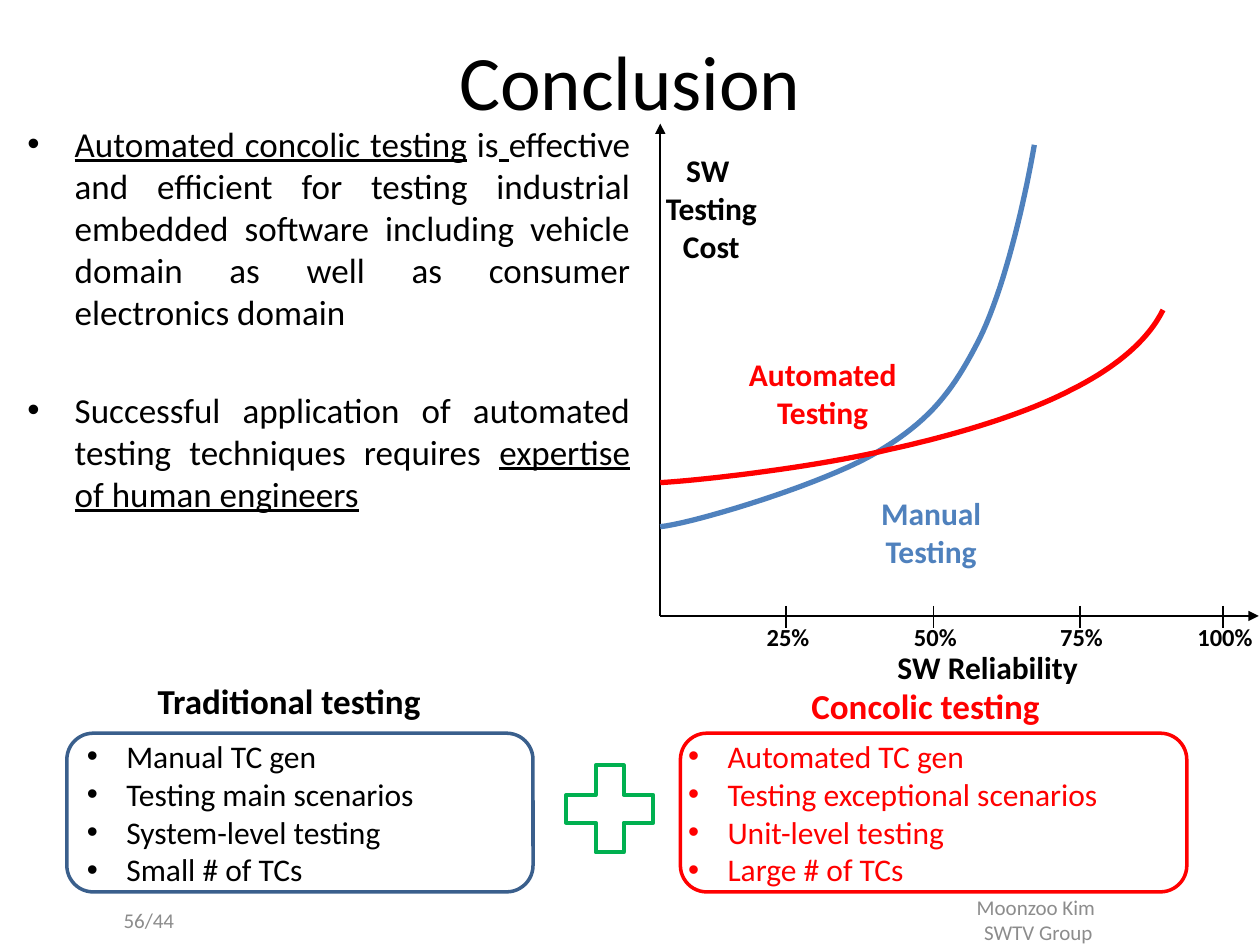
from lxml import etree
from pptx import Presentation
from pptx.dml.color import RGBColor
from pptx.enum.shapes import MSO_CONNECTOR, MSO_SHAPE
from pptx.enum.text import MSO_ANCHOR, PP_ALIGN
from pptx.oxml.ns import qn
from pptx.util import Pt

LEFT, CENTER, RIGHT, JUSTIFY = PP_ALIGN.LEFT, PP_ALIGN.CENTER, PP_ALIGN.RIGHT, PP_ALIGN.JUSTIFY
TOP, MIDDLE = MSO_ANCHOR.TOP, MSO_ANCHOR.MIDDLE
ROUNDED, PLUS = MSO_SHAPE.ROUNDED_RECTANGLE, MSO_SHAPE.MATH_PLUS
STRAIGHT = MSO_CONNECTOR.STRAIGHT
BLACK, RED, BLUE, GRAY = "000000", "FF0000", "4F81BD", "8C8C8C"
NAVY, GREEN = "3A5F8C", "00B050"


def write(shape, paragraphs, size, color=BLACK, bold=False, align=LEFT,
          anchor=TOP, wrap=True, indent=0, gap=0):
    """Each paragraph is a list of (text, underlined) runs; an indent adds bullets."""
    frame = shape.text_frame
    frame.word_wrap = wrap
    frame.vertical_anchor = anchor
    for index, runs in enumerate(paragraphs):
        para = frame.add_paragraph() if index else frame.paragraphs[0]
        para.alignment = align
        if indent:
            properties = para._p.get_or_add_pPr()
            properties.set("marL", str(Pt(indent)))
            properties.set("indent", str(-Pt(indent)))
            etree.SubElement(properties, qn("a:buFont")).set("typeface", "Arial")
            etree.SubElement(properties, qn("a:buChar")).set("char", "•")
        if index and gap:
            para.space_before = Pt(gap)
        for text, underlined in runs:
            span = para.add_run()
            span.text = text
            span.font.name = "Calibri"
            span.font.size = Pt(size)
            span.font.bold = bold
            span.font.underline = underlined
            span.font.color.rgb = RGBColor.from_string(color)


def add_line(start, end, arrow=False):
    line = page.shapes.add_connector(STRAIGHT, *(Pt(value) for value in start + end))
    line.line.color.rgb = RGBColor.from_string(BLACK)
    line.line.width = Pt(1)
    if arrow:
        etree.SubElement(line.line._get_or_add_ln(), qn("a:tailEnd")).set("type", "triangle")
    etree.SubElement(line._element.spPr, qn("a:effectLst"))


deck = Presentation()
deck.slide_width, deck.slide_height = Pt(720), Pt(540)
page = deck.slides.add_slide(deck.slide_layouts[6])

# Title, footer and main points
title = page.shapes.add_textbox(Pt(0), Pt(11.5), Pt(720), Pt(67.7))
write(title, [[("Conclusion", False)]], 44, align=CENTER, anchor=MIDDLE)
author = page.shapes.add_textbox(Pt(540), Pt(511.2), Pt(106.6), Pt(28.8))
write(author, [[("Moonzoo Kim ", False)], [("SWTV Group", False)]], 12, GRAY,
      align=CENTER, anchor=MIDDLE)
page_number = page.shapes.add_textbox(Pt(36), Pt(511.2), Pt(70.6), Pt(28.8))
write(page_number, [[("56/44", False)]], 12, GRAY, align=RIGHT, anchor=MIDDLE)

points = [
    [("Automated concolic testing", True), (" is", False), (" ", True),
     ("effective and efficient for testing industrial embedded software including "
      "vehicle domain as well as consumer electronics domain", False)],
    [("Successful application of automated testing techniques requires ", False),
     ("expertise of human engineers", True)],
]
body = page.shapes.add_textbox(Pt(8.6), Pt(66.2), Pt(358.6), Pt(410.4))
write(body, points, 20, align=JUSTIFY, indent=27, gap=32)

# Cost against reliability: axes and ticks
origin_x, origin_y = 377.3, 352
add_line((origin_x, origin_y), (719.3, origin_y), arrow=True)
add_line((origin_x, origin_y), (origin_x, 70.6), arrow=True)
for tick_x, label in ((449.3, "25%"), (533.5, "50%"), (617, "75%"), (699, "100%")):
    add_line((tick_x, 346.3), (tick_x, 358.6))
    box = page.shapes.add_textbox(Pt(tick_x - 23), Pt(origin_y), Pt(48), Pt(24.5))
    write(box, [[(label, False)]], 14, bold=True, align=CENTER, wrap=False)

# Cost curves: a start point, then cubic Bezier pieces
manual = [(377.3, 301),
          (397.4, 298.8), (470.9, 276.5), (501.1, 258.5),
          (531.4, 240.5), (544.3, 223.9), (559.4, 194.4),
          (573.8, 165.6), (585.4, 115.9), (591.1, 82.8)]
automated = [(377.3, 275.8),
             (403.9, 274.3), (468.7, 266.4), (507.6, 257),
             (547.2, 248.4), (586.8, 236.2), (612.7, 222.5),
             (638.6, 209.5), (656.6, 193.7), (664.6, 177.1)]
steps = 20
for nodes, color in ((manual, BLUE), (automated, RED)):
    curve = []
    for first in range(0, len(nodes) - 1, 3):
        for step in range(1, steps + 1):
            t = step / steps
            weights = ((1 - t) ** 3, 3 * t * (1 - t) ** 2, 3 * t ** 2 * (1 - t), t ** 3)
            curve.append(tuple(
                Pt(sum(weight * node[axis] for weight, node in zip(weights, nodes[first:first + 4])))
                for axis in (0, 1)))
    builder = page.shapes.build_freeform(Pt(nodes[0][0]), Pt(nodes[0][1]))
    builder.add_line_segments(curve, close=False)
    outline = builder.convert_to_shape()
    outline.shadow.inherit = False
    outline.fill.background()
    outline.line.color.rgb = RGBColor.from_string(color)
    outline.line.width = Pt(3)

# Chart labels and headings: lines, left, top, width, height, size, colour
labels = [
    (["SW ", "Testing", "Cost"], 373, 82.8, 67, 72.7, 18, BLACK),
    (["SW Reliability"], 505.4, 366.5, 118, 28.8, 18, BLACK),
    (["Automated", "Testing"], 411.1, 199.4, 118, 51, 18, RED),
    (["Manual", "Testing"], 478.8, 278.6, 106.6, 51, 18, BLUE),
    (["Traditional testing"], 82, 384.5, 166.3, 31.7, 20, BLACK),
    (["Concolic testing"], 455.8, 387.4, 146.2, 31.7, 20, RED),
]
for lines, left, top, width, height, size, color in labels:
    box = page.shapes.add_textbox(Pt(left), Pt(top), Pt(width), Pt(height))
    write(box, [[(text, False)] for text in lines], size, color, bold=True,
          align=CENTER, wrap=False)

# Two approaches joined by a plus sign
traditional = ["Manual TC gen", "Testing main scenarios", "System-level testing", "Small # of TCs"]
concolic = ["Automated TC gen", "Testing exceptional scenarios", "Unit-level testing",
            "Large # of TCs"]
panels = [
    (ROUNDED, 38.2, 419, 266.4, 90.7, NAVY, 2, traditional, BLACK, 7.2),
    (ROUNDED, 388.8, 419, 289.4, 90.7, RED, 2, concolic, RED, 0),
    (PLUS, 314.6, 428.4, 67.7, 67.7, GREEN, 2.25, [], BLACK, 7.2),
]
for kind, left, top, width, height, border, weight, items, color, inset in panels:
    panel = page.shapes.add_shape(kind, Pt(left), Pt(top), Pt(width), Pt(height))
    panel.shadow.inherit = False
    panel.fill.background()
    panel.line.color.rgb = RGBColor.from_string(border)
    panel.line.width = Pt(weight)
    panel.text_frame.margin_left = panel.text_frame.margin_right = Pt(inset)
    write(panel, [[(item, False)] for item in items], 18, color, anchor=MIDDLE, indent=22.5)

deck.save("out.pptx")
